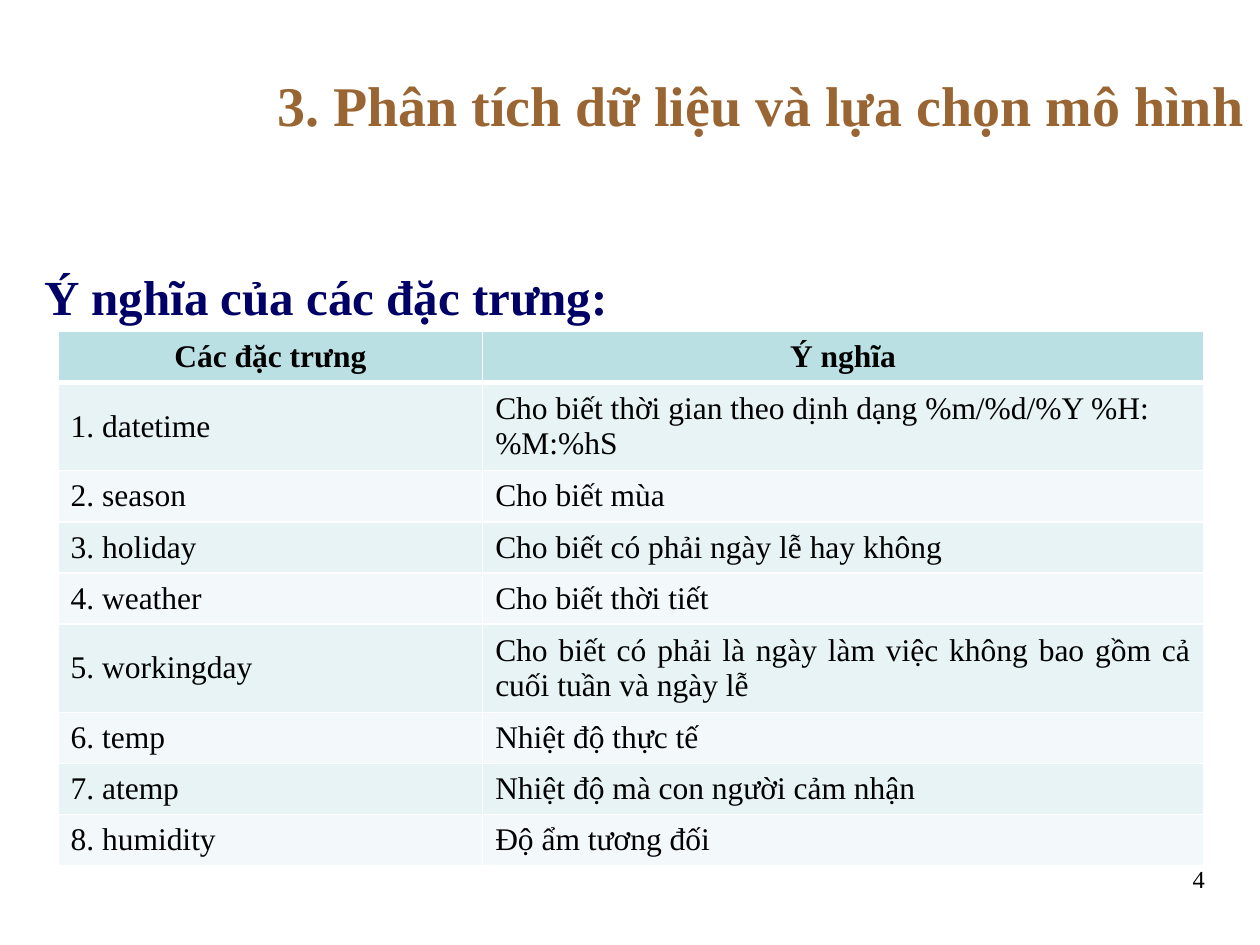
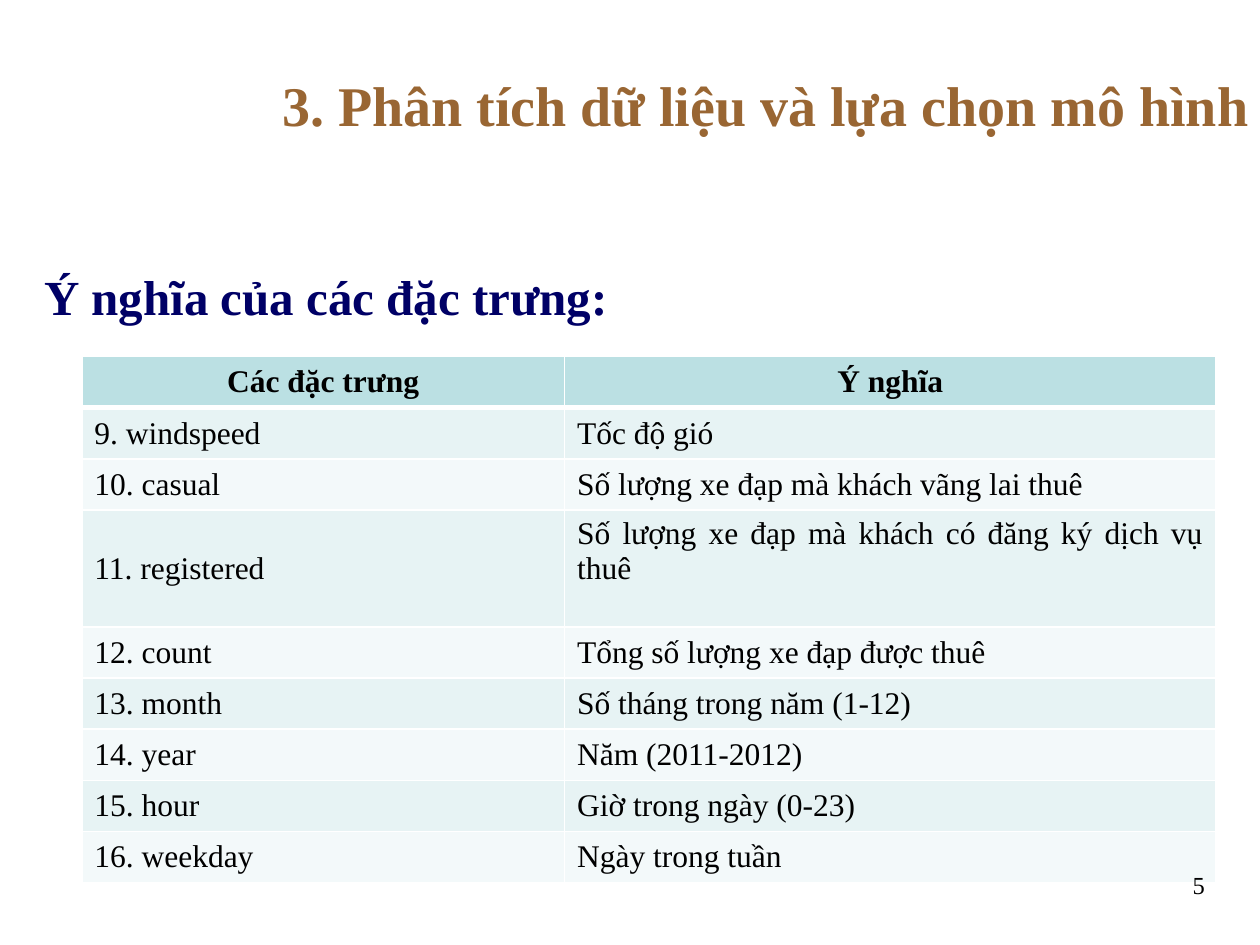
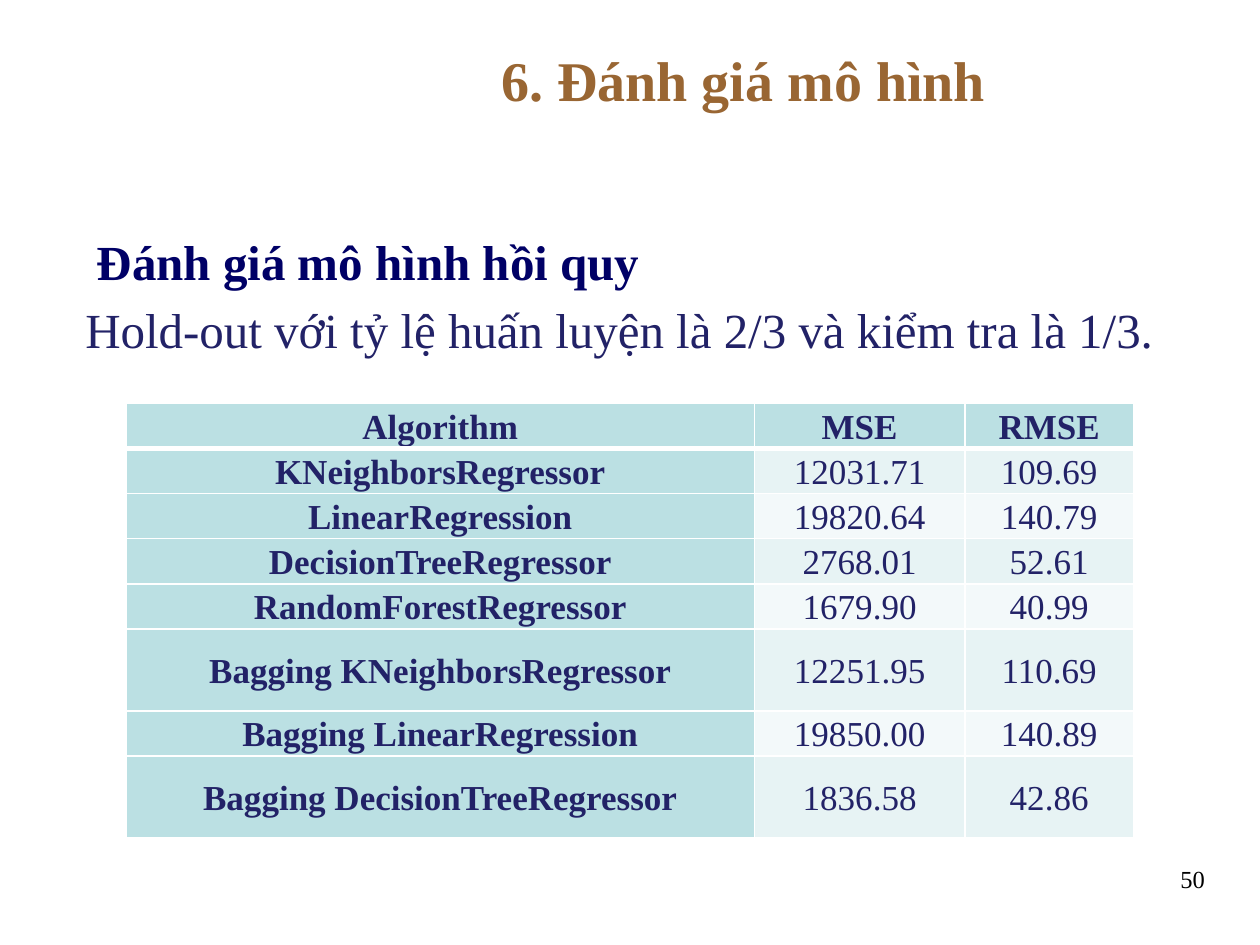
from dataclasses import dataclass

from lxml.etree import SubElement
from pptx import Presentation
from pptx.dml.color import RGBColor
from pptx.enum.text import MSO_ANCHOR, PP_ALIGN
from pptx.oxml.ns import qn
from pptx.util import Cm, Pt


@dataclass(frozen=True)
class Theme:
    """Colours and type sizes shared by the slides."""

    font: str = "Times New Roman"
    title: str = "996633"
    heading: str = "000066"
    ink: str = "222267"
    black: str = "000000"
    border: str = "FFFFFF"
    header_fill: str = "BBE0E3"
    band_fills: tuple = ("E7F3F4", "F3F9FA")
    title_size: int = 32
    heading_size: int = 28
    score_size: int = 20
    feature_size: int = 18
    number_size: int = 14


THEME = Theme()

FEATURE_HEADER = ("Các đặc trưng", "Ý nghĩa")
FEATURES = [
    ("datetime", "Cho biết thời gian theo dịnh dạng %m/%d/%Y %H:%M:%hS"),
    ("season", "Cho biết mùa"),
    ("holiday", "Cho biết có phải ngày lễ hay không"),
    ("weather", "Cho biết thời tiết"),
    ("workingday", "Cho biết có phải là ngày làm việc không bao gồm cả cuối tuần và ngày lễ"),
    ("temp", "Nhiệt độ thực tế"),
    ("atemp", "Nhiệt độ mà con người cảm nhận"),
    ("humidity", "Độ ẩm tương đối"),
    ("windspeed", "Tốc độ gió"),
    ("casual", "Số lượng xe đạp mà khách vãng lai thuê"),
    ("registered", "Số lượng xe đạp mà khách có đăng ký dịch vụ thuê"),
    ("count", "Tổng số lượng xe đạp được thuê"),
    ("month", "Số tháng trong năm (1-12)"),
    ("year", "Năm (2011-2012)"),
    ("hour", "Giờ trong ngày (0-23)"),
    ("weekday", "Ngày trong tuần"),
]
SCORES = [
    ("Algorithm", "MSE", "RMSE"),
    ("KNeighborsRegressor", "12031.71", "109.69"),
    ("LinearRegression", "19820.64", "140.79"),
    ("DecisionTreeRegressor", "2768.01", "52.61"),
    ("RandomForestRegressor", "1679.90", "40.99"),
    ("Bagging KNeighborsRegressor", "12251.95", "110.69"),
    ("Bagging LinearRegression", "19850.00", "140.89"),
    ("Bagging DecisionTreeRegressor", "1836.58", "42.86"),
]


def style_text(paragraph, size, color, bold=False, align=PP_ALIGN.LEFT):
    """Align a paragraph and format its runs."""
    paragraph.alignment = align
    for span in paragraph.runs:
        span.font.name = THEME.font
        span.font.size = Pt(size)
        span.font.bold = bold
        span.font.color.rgb = RGBColor.from_string(color)


def add_text(page, text, place, size, color, bold=False, align=PP_ALIGN.LEFT,
             anchor=MSO_ANCHOR.TOP, spacing=1.0):
    """Add a wrapped one-paragraph text box."""
    box = page.shapes.add_textbox(*(Cm(length) for length in place))
    frame = box.text_frame
    frame.word_wrap = True
    frame.vertical_anchor = anchor
    frame.text = text
    paragraph = frame.paragraphs[0]
    paragraph.line_spacing = spacing
    style_text(paragraph, size, color, bold, align)


def add_title(page, text, left, width, anchor=MSO_ANCHOR.MIDDLE):
    """Add the slide title."""
    add_text(page, text, (left, 0.79, width, 2.62), THEME.title_size,
             THEME.title, True, PP_ALIGN.CENTER, anchor)


def add_heading(page, text, place, spacing=1.0):
    """Add the bold heading above the table."""
    add_text(page, text, place, THEME.heading_size, THEME.heading, True,
             PP_ALIGN.JUSTIFY, spacing=spacing)


def add_page_number(page, number, top=17.3):
    """Add the page number at the lower right."""
    add_text(page, str(number), (18.62, top, 5.92, 1.55), THEME.number_size,
             THEME.black, align=PP_ALIGN.RIGHT)


def set_borders(cell, row):
    """Draw the white cell borders, thick below the header row."""
    properties = cell._tc.get_or_add_tcPr()
    for side in ("lnL", "lnR", "lnT", "lnB"):
        thick = (row, side) in ((0, "lnB"), (1, "lnT"))
        line = SubElement(properties, qn(f"a:{side}"), w=str(Pt(3 if thick else 1)))
        fill = SubElement(line, qn("a:solidFill"))
        SubElement(fill, qn("a:srgbClr"), val=THEME.border)


def add_banded_table(page, rows, left, top, widths, heights, size, color,
                     body_align, label_column=False):
    """Add a table with a header row, banded body and optional label column."""
    frame = page.shapes.add_table(len(rows), len(widths), Cm(left), Cm(top),
                                  Cm(sum(widths)), Cm(sum(heights)))
    table = frame.table
    table.horz_banding = False
    table.first_col = label_column
    for column, width in zip(table.columns, widths):
        column.width = Cm(width)
    for row, (values, height) in enumerate(zip(rows, heights)):
        table.rows[row].height = Cm(height)
        for column, value in enumerate(values):
            cell = table.cell(row, column)
            strong = row == 0 or (label_column and column == 0)
            set_borders(cell, row)
            cell.fill.solid()
            cell.fill.fore_color.rgb = RGBColor.from_string(
                THEME.header_fill if strong else THEME.band_fills[(row - 1) % 2])
            cell.vertical_anchor = MSO_ANCHOR.MIDDLE
            cell.text_frame.text = value
            style_text(cell.text_frame.paragraphs[0], size, color, strong,
                       PP_ALIGN.CENTER if row == 0 else body_align)
    return table


def row_heights(count, normal, tall):
    """Return equal row heights, replaced where a row is taller."""
    return [tall.get(row, normal) for row in range(count)]


def add_feature_page(page, first, left, top, widths, tall, title_width):
    """Build a slide that explains eight features and return its table."""
    add_title(page, "3. Phân tích dữ liệu và lựa chọn mô hình", 5.28, title_width)
    add_heading(page, "Ý nghĩa của các đặc trưng:", (0.64, 4.65, 23.6, 1.47), 1.5)
    chosen = FEATURES[first - 1:first + 7]
    rows = [FEATURE_HEADER] + [(f"{number}. {name}", meaning)
                               for number, (name, meaning) in enumerate(chosen, first)]
    return add_banded_table(page, rows, left, top, widths,
                            row_heights(len(rows), 1.03, tall),
                            THEME.feature_size, THEME.black, PP_ALIGN.JUSTIFY)


def add_score_page(page):
    """Build the slide that compares the regression models."""
    add_title(page, "6. Đánh giá mô hình", 4.88, 20.22, MSO_ANCHOR.TOP)
    add_heading(page, "Đánh giá mô hình hồi quy", (1.7, 4.55, 22.86, 1.4))
    add_text(page, "Hold-out với tỷ lệ huấn luyện là 2/3 và kiểm tra là 1/3.",
             (1.47, 5.92, 22.43, 1.45), THEME.heading_size, THEME.ink)
    table = add_banded_table(page, SCORES, 2.54, 8.13, (12.67, 4.24, 3.4),
                             row_heights(len(SCORES), 0.91, {5: 1.65, 7: 1.65}),
                             THEME.score_size, THEME.ink, PP_ALIGN.CENTER, True)
    for cell in table.iter_cells():
        cell.margin_left = cell.margin_right = Cm(0.18)
        cell.margin_top = cell.margin_bottom = 0
        cell.text_frame.paragraphs[0].line_spacing = 1.07


def main():
    """Build the three slides and save the deck."""
    deck = Presentation()
    deck.slide_width, deck.slide_height = Cm(25.4), Cm(19.05)
    first, second, third = (deck.slides.add_slide(deck.slide_layouts[6])
                            for _ in range(3))

    table = add_feature_page(first, 1, 1.17, 6.68, (8.56, 14.53),
                             {1: 1.65, 5: 1.65}, 20.12)
    table.cell(1, 1).text_frame.paragraphs[0].alignment = PP_ALIGN.LEFT
    add_page_number(first, 4)

    table = add_feature_page(second, 9, 1.65, 7.19, (9.73, 13.13), {3: 2.36}, 20.32)
    table.cell(3, 1).vertical_anchor = MSO_ANCHOR.TOP
    add_page_number(second, 5, 17.42)

    add_score_page(third)
    add_page_number(third, 50)
    deck.save("out.pptx")


if __name__ == "__main__":
    main()
